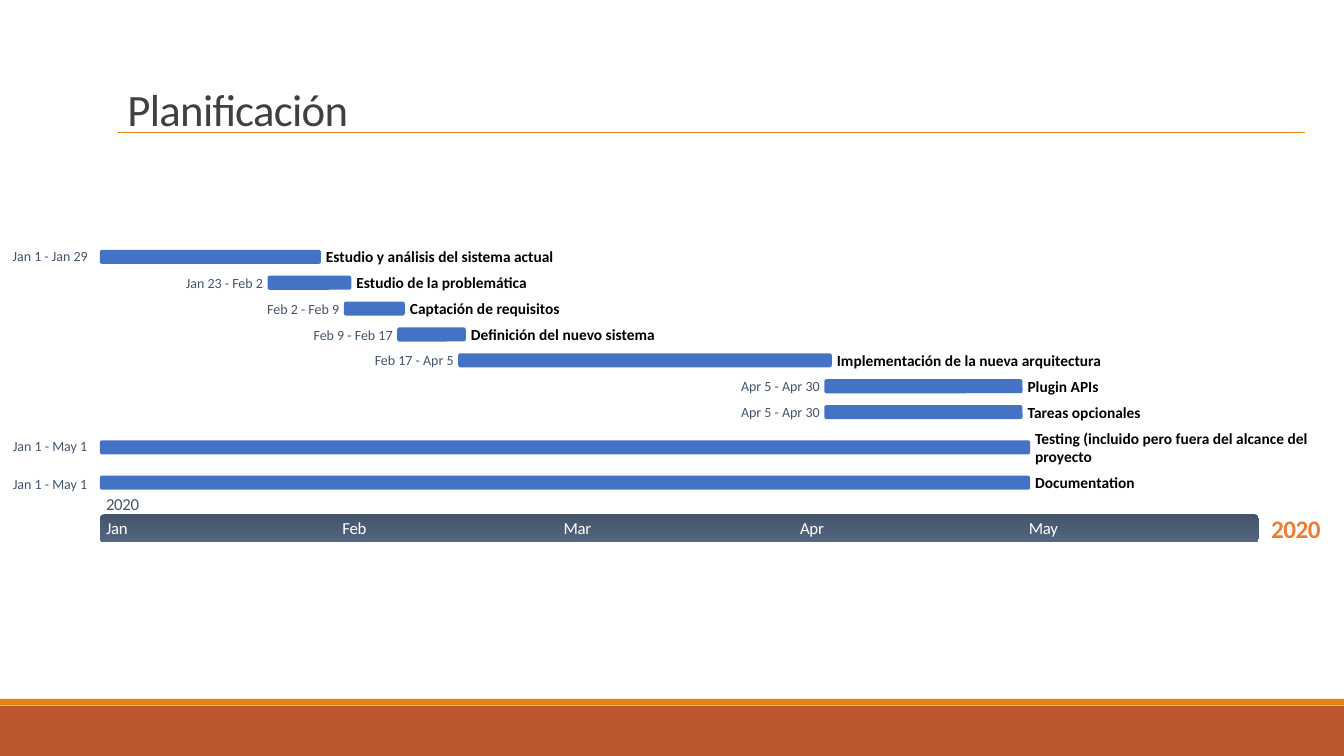
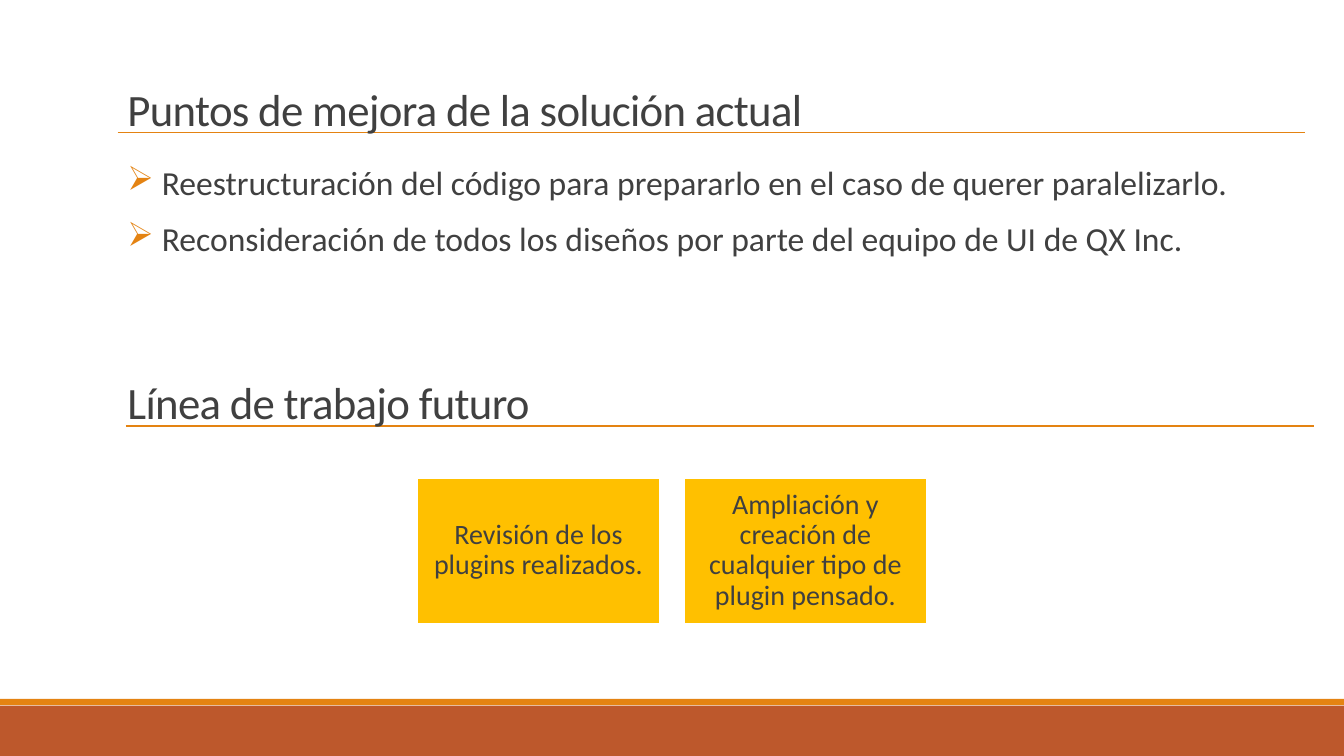
from dataclasses import dataclass, field
from typing import NamedTuple

from lxml import etree
from pptx import Presentation
from pptx.dml.color import RGBColor
from pptx.enum.shapes import MSO_CONNECTOR, MSO_SHAPE
from pptx.enum.text import MSO_ANCHOR, PP_ALIGN
from pptx.oxml.ns import qn
from pptx.util import Inches, Pt

RECTANGLE = MSO_SHAPE.RECTANGLE
ROUNDED = MSO_SHAPE.ROUNDED_RECTANGLE
STRAIGHT = MSO_CONNECTOR.STRAIGHT
LEFT, CENTER, RIGHT = PP_ALIGN.LEFT, PP_ALIGN.CENTER, PP_ALIGN.RIGHT
TOP, MIDDLE = MSO_ANCHOR.TOP, MSO_ANCHOR.MIDDLE

COLUMNS, ROWS = 160, 90
CELL = Inches(1) // 12


@dataclass(frozen=True)
class TextStyle:
    size: int
    color: str
    bold: bool = False
    tracking: int = 0  # hundredths of a point
    inset: tuple = (0, 0)  # horizontal, vertical, in cells
    anchor: int = MIDDLE
    paragraph: dict = field(default_factory=dict)
    bullet: str = ""


@dataclass(frozen=True)
class Theme:
    font: str = "Calibri"
    band: str = "BD582C"
    accent: str = "E48312"
    ink: str = "404040"
    slate: str = "44546A"
    slate_light: str = "52667F"
    bar: str = "4472C4"
    card: str = "FFC000"
    white: str = "FFFFFF"
    black: str = "000000"
    year: str = "ED7D31"

    @property
    def text(self):
        normal = (1.2, 0.6)
        return {
            "title": TextStyle(32, self.ink, tracking=-50, inset=normal, anchor=TOP,
                               paragraph={"line_spacing": 0.85}),
            "bullets": TextStyle(24, self.ink, inset=normal, anchor=TOP, bullet="➢",
                                 paragraph={"line_spacing": 0.9, "space_before": Pt(12),
                                            "space_after": Pt(2)}),
            "card": TextStyle(20, self.ink, inset=(0.96, 0.96),
                              paragraph={"alignment": CENTER, "line_spacing": 0.9,
                                         "space_after": Pt(8)}),
            "year": TextStyle(18, self.year, bold=True, tracking=-40,
                              paragraph={"alignment": CENTER}),
            "month": TextStyle(12, self.white, tracking=-20),
            "axis_year": TextStyle(12, self.slate, tracking=-20),
            "dates": TextStyle(10, self.slate, paragraph={"alignment": RIGHT}),
            "task": TextStyle(11, self.black, bold=True),
        }


class Task(NamedTuple):
    start: str
    end: str
    name: str
    lines: int = 1
    date_gap: float = 0.55
    date_shift: float = 0


MONTH_DAYS = {"Jan": 31, "Feb": 29, "Mar": 31, "Apr": 30, "May": 31}
MONTHS = list(MONTH_DAYS)
TASKS = [
    Task("Jan 1", "Jan 29", "Estudio y análisis del sistema actual", date_gap=1.44, date_shift=-0.15),
    Task("Jan 23", "Feb 2", "Estudio de la problemática"),
    Task("Feb 2", "Feb 9", "Captación de requisitos"),
    Task("Feb 9", "Feb 17", "Definición del nuevo sistema"),
    Task("Feb 17", "Apr 5", "Implementación de la nueva arquitectura"),
    Task("Apr 5", "Apr 30", "Plugin APIs"),
    Task("Apr 5", "Apr 30", "Tareas opcionales"),
    Task("Jan 1", "May 1", "Testing (incluido pero fuera del alcance del proyecto", 2, 1.5, -0.15),
    Task("Jan 1", "May 1", "Documentation", date_gap=1.5, date_shift=0.2),
]


def cells(*counts):
    return [round(count * CELL) for count in counts]


def days_before(date):
    """Days from 1 January to a date such as "Feb 9"."""
    month, day = date.split()
    return sum(MONTH_DAYS[name] for name in MONTHS[:MONTHS.index(month)]) + int(day) - 1


class Deck:
    """Holds the theme and the current slide; all lengths are grid cells."""

    def __init__(self, theme):
        self.theme = theme
        self.styles = theme.text
        self.presentation = Presentation()
        self.presentation.slide_width, self.presentation.slide_height = cells(COLUMNS, ROWS)
        self.slide = None

    def new_slide(self):
        self.slide = self.presentation.slides.add_slide(self.presentation.slide_layouts[6])
        self.box(0, 84, COLUMNS, 6, self.theme.band)
        self.box(0, 83.2, COLUMNS, 0.75, self.theme.accent)

    def box(self, left, top, width, height, color, kind=RECTANGLE, outline=None):
        shape = self.slide.shapes.add_shape(kind, *cells(left, top, width, height))
        shape.shadow.inherit = False
        shape.fill.solid()
        shape.fill.fore_color.rgb = RGBColor.from_string(color)
        if outline:
            shape.line.color.rgb = RGBColor.from_string(outline)
            shape.line.width = Pt(1)
        else:
            shape.line.fill.background()
        return shape

    def shade(self, shape, colors):
        """Fill a shape with a gradient from top to bottom."""
        shape.fill.gradient()
        shape.fill.gradient_angle = 270
        for position, (stop, color) in enumerate(zip(shape.fill.gradient_stops, colors)):
            stop.position = position
            stop.color.rgb = RGBColor.from_string(color)

    def set_text(self, shape, style_name, *texts):
        style = self.styles[style_name]
        frame = shape.text_frame
        horizontal, vertical = cells(*style.inset)
        frame_format = {"word_wrap": True, "vertical_anchor": style.anchor,
                        "margin_left": horizontal, "margin_right": horizontal,
                        "margin_top": vertical, "margin_bottom": vertical}
        for name, value in frame_format.items():
            setattr(frame, name, value)
        for index, text in enumerate(texts):
            paragraph = frame.add_paragraph() if index else frame.paragraphs[0]
            for name, value in {"alignment": LEFT, **style.paragraph}.items():
                setattr(paragraph, name, value)
            run = paragraph.add_run()
            run.text = text
            font_format = {"name": self.theme.font, "size": Pt(style.size), "bold": style.bold}
            for name, value in font_format.items():
                setattr(run.font, name, value)
            run.font.color.rgb = RGBColor.from_string(style.color)
            if style.tracking:
                run._r.get_or_add_rPr().set("spc", str(style.tracking))
            if style.bullet:
                self.add_bullet(paragraph, style.bullet)

    def add_bullet(self, paragraph, character):
        properties = paragraph._p.get_or_add_pPr()
        indent = Inches(0.1)
        properties.set("marL", str(indent))
        properties.set("indent", str(-indent))
        color = etree.SubElement(properties, qn("a:buClr"))
        etree.SubElement(color, qn("a:srgbClr"), val=self.theme.accent)
        etree.SubElement(properties, qn("a:buChar"), char=character)

    def text(self, left, top, width, height, style_name, *texts):
        shape = self.slide.shapes.add_textbox(*cells(left, top, width, height))
        self.set_text(shape, style_name, *texts)

    def rule(self, left, top, width):
        line = self.slide.shapes.add_connector(STRAIGHT, *cells(left, top, left + width, top))
        line.line.color.rgb = RGBColor.from_string(self.theme.accent)
        line.line.width = Pt(1)
        etree.SubElement(line._element.spPr, qn("a:effectLst"))

    def heading(self, text, top=10.1, rule_left=14):
        self.rule(rule_left, top + 5.7, 141.4)
        self.text(14, top, 132, 7.2, "title", text)

    def cards(self, texts, top, width, height, gap):
        """A centred row of equal cards."""
        left = (COLUMNS - len(texts) * width - (len(texts) - 1) * gap) / 2
        for index, text in enumerate(texts):
            card = self.box(left + index * (width + gap), top, width, height,
                            self.theme.card, outline=self.theme.white)
            self.set_text(card, "card", text)

    def gantt(self, tasks, left=11.88, top=29.46, width=138):
        day = width / sum(MONTH_DAYS.values())
        axis_top, axis_height, bar_height, line_height = 61.2, 3.36, 1.68, 2.24
        for task in tasks:
            height = task.lines * line_height
            middle = top + height / 2
            start = left + days_before(task.start) * day
            end = left + (days_before(task.end) + 1) * day
            self.box(start, middle - bar_height / 2, end - start, bar_height,
                     self.theme.bar, ROUNDED)
            dates = f"{task.start} - {task.end}"
            date_width = 0.7 * len(dates)
            self.text(start - task.date_gap - date_width, middle - 1.02 + task.date_shift,
                      date_width, 2.04, "dates", dates)
            self.text(end + 0.6, top, min(0.92 * len(task.name), 32.9), height,
                      "task", task.name)
            top += height + 0.84

        axis = self.box(left, axis_top, width, axis_height, self.theme.slate, ROUNDED)
        self.shade(axis, (self.theme.slate, self.theme.slate_light))
        label_left = left + 0.75
        for month in MONTHS:
            self.text(label_left + days_before(f"{month} 1") * day, axis_top + 0.5,
                      4.8, 2.28, "month", month)
        self.text(label_left, axis_top - 2.4, 4.8, 2.4, "axis_year", "2020")
        self.text(left + width + 0.8, axis_top - 0.12, 7.2, 3.72, "year", "2020")


def main():
    deck = Deck(Theme())

    deck.new_slide()
    deck.gantt(TASKS)
    deck.heading("Planificación")

    deck.new_slide()
    deck.text(14, 19.2, 137, 15.5, "bullets",
              " Reestructuración del código para prepararlo en el caso de querer paralelizarlo.",
              " Reconsideración de todos los diseños por parte del equipo de UI de QX Inc.")
    deck.heading("Puntos de mejora de la solución actual")
    deck.heading("Línea de trabajo futuro", top=45, rule_left=15)
    deck.cards(["Revisión de los plugins realizados.",
                "Ampliación y creación de cualquier tipo de plugin pensado."],
               top=56.9, width=28.9, height=17.3, gap=2.88)

    deck.presentation.save("out.pptx")


if __name__ == "__main__":
    main()
